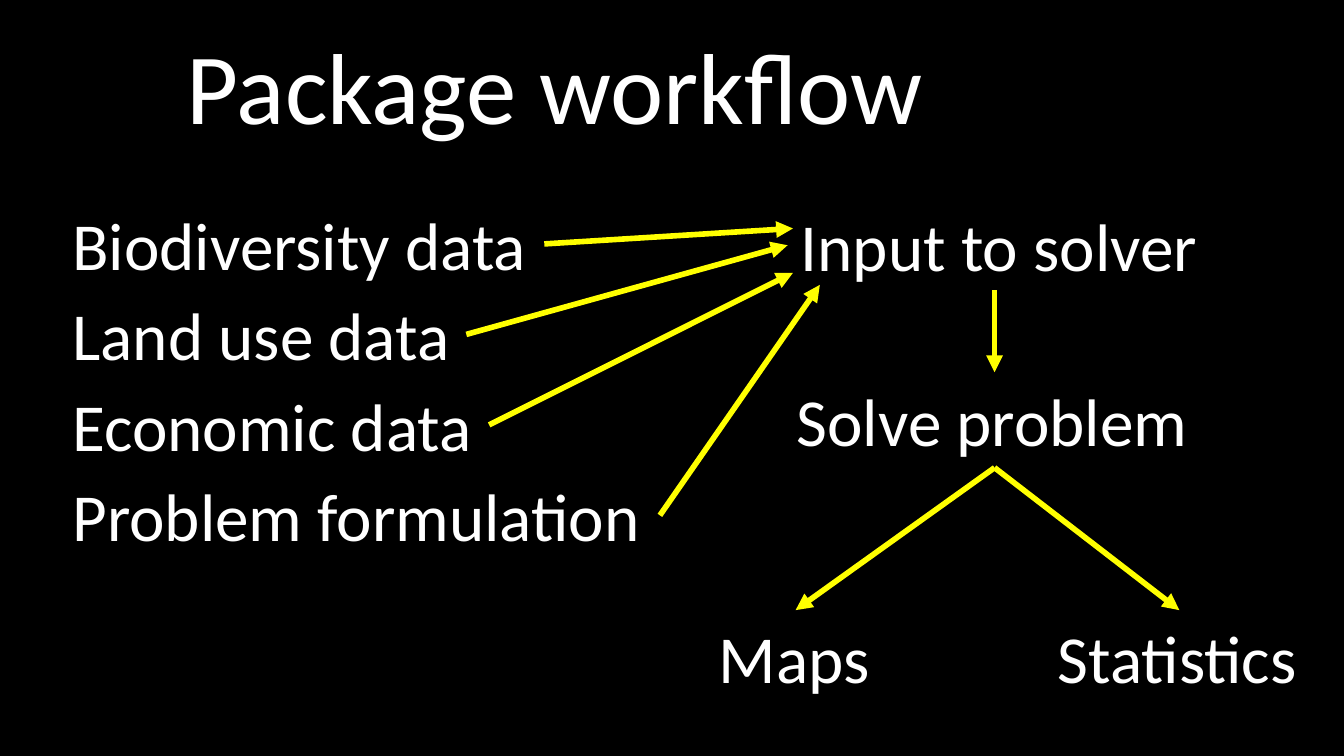
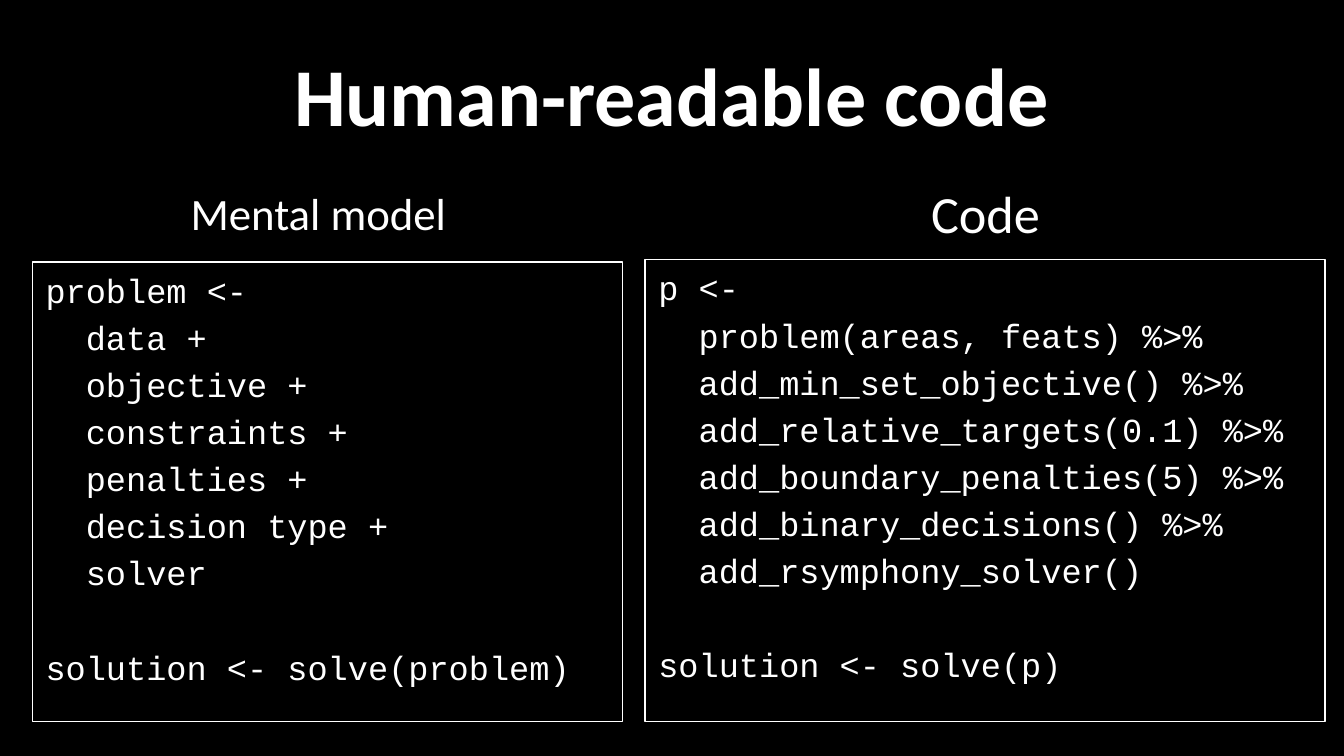
"""Build two slides on a planning package: its workflow and its readable code."""
from lxml import etree
from pptx import Presentation
from pptx.dml.color import RGBColor
from pptx.enum.shapes import MSO_CONNECTOR, MSO_SHAPE
from pptx.enum.text import MSO_ANCHOR, MSO_AUTO_SIZE, PP_ALIGN
from pptx.oxml.ns import qn
from pptx.util import Inches, Pt

BLACK = RGBColor(0x00, 0x00, 0x00)
WHITE = RGBColor(0xFF, 0xFF, 0xFF)
YELLOW = RGBColor(0xFF, 0xFF, 0x00)
BODY_FONT = "Calibri"
CODE_FONT = "Courier New"
TOP, LEFT, BOTTOM, RIGHT = range(4)
LINE_GAP = 3.6
BLOCK_GAP = 28.8

MENTAL_MODEL = [
    "problem <-",
    "  data +",
    "  objective +",
    "  constraints +",
    "  penalties +",
    "  decision type +",
    "  solver",
    "solution <- solve(problem)",
]
R_CODE = [
    "p <-",
    "  problem(areas, feats) %>%",
    "  add_min_set_objective() %>%",
    "  add_relative_targets(0.1) %>%",
    "  add_boundary_penalties(5) %>%",
    "  add_binary_decisions() %>%",
    "  add_rsymphony_solver()",
    "solution <- solve(p)",
]


def style_runs(p, size, font=BODY_FONT, bold=False):
    """Format every run of a paragraph in white."""
    for r in p.runs:
        r.font.size = Pt(size)
        r.font.name = font
        r.font.bold = bold
        r.font.color.rgb = WHITE


def add_title_slide(prs, title, box, size, bold=False):
    """Add a title-only slide and place its centred title."""
    s = prs.slides.add_slide(prs.slide_layouts[5])
    sp = s.shapes.title
    sp.left, sp.top, sp.width, sp.height = map(Inches, box)
    tf = sp.text_frame
    tf.text = title
    tf.auto_size = MSO_AUTO_SIZE.NONE
    tf.word_wrap = bold
    tf.vertical_anchor = MSO_ANCHOR.MIDDLE
    tf.paragraphs[0].alignment = PP_ALIGN.CENTER
    style_runs(tf.paragraphs[0], size, bold=bold)
    return s


def add_label(s, text, left, top, width, height=0.71, size=36):
    """Add a one-line text box that fits its text."""
    sp = s.shapes.add_textbox(*map(Inches, (left, top, width, height)))
    tf = sp.text_frame
    tf.text = text
    tf.word_wrap = False
    tf.auto_size = MSO_AUTO_SIZE.SHAPE_TO_FIT_TEXT
    style_runs(tf.paragraphs[0], size)
    return sp


def add_arrow(s, start, end, source=None, target=None):
    """Add a yellow arrow, joined to (shape, side) pairs where given."""
    cx = s.shapes.add_connector(MSO_CONNECTOR.STRAIGHT, *map(Inches, start + end))
    if source:
        cx.begin_connect(*source)
    if target:
        cx.end_connect(*target)
    cx.line.color.rgb = YELLOW
    cx.line.width = Pt(3)
    ln = cx._element.spPr.find(qn("a:ln"))
    etree.SubElement(ln, qn("a:tailEnd"), type="triangle")
    etree.SubElement(cx._element.spPr, qn("a:effectLst"))


def add_code_box(s, lines, left, top, width, height):
    """Add an outlined box of code whose last line stands apart."""
    sp = s.shapes.add_shape(MSO_SHAPE.RECTANGLE, *map(Inches, (left, top, width, height)))
    sp.shadow.inherit = False
    sp.fill.background()
    sp.line.color.rgb = WHITE
    sp.line.width = Pt(0.75)
    tf = sp.text_frame
    tf.word_wrap = True
    tf.vertical_anchor = MSO_ANCHOR.TOP
    tf.margin_top = Inches(0.06)
    tf.text = "\n".join(lines)
    for p in tf.paragraphs:
        p.alignment = PP_ALIGN.LEFT
        p.space_before = Pt(LINE_GAP)
        style_runs(p, 18, CODE_FONT)
    tf.paragraphs[0].space_before = Pt(0)
    tf.paragraphs[-1].space_before = Pt(BLOCK_GAP)


def build_workflow(prs):
    """Draw the flow from input data to solver results."""
    s = add_title_slide(prs, "Package workflow", (1.26, 0.13, 5.74, 1), 54)
    solver_input = add_label(s, "Input to solver", 5.86, 1.47, 3.18)
    solve = add_label(s, "Solve problem", 5.83, 2.77, 3.14)

    inputs = [
        ("Biodiversity data", 3.61, (5.9, 1.7), None),
        ("Land use data", 3.03, (5.86, 1.82), (solver_input, LEFT)),
        ("Economic data", 3.2, (5.9, 2.03), None),
        ("Problem formulation", 4.47, (6.1, 2.12), None),
    ]
    row_pitch = (3.48 - 1.46) / (len(inputs) - 1)
    for i, (text, width, end, target) in enumerate(inputs):
        top = 1.46 + row_pitch * i
        sp = add_label(s, text, 0.44, top, width)
        add_arrow(s, (0.44 + width, top + 0.35), end, (sp, RIGHT), target)

    add_arrow(s, (7.4, 2.16), (7.4, 2.77), target=(solve, TOP))
    for text, left, width in [("Maps", 5.25, 1.34), ("Statistics", 7.77, 2.01)]:
        sp = add_label(s, text, left, 4.54, width)
        add_arrow(s, (7.4, 3.48), (left + width / 2, 4.54), (solve, BOTTOM), (sp, TOP))


def build_code(prs):
    """Set the mental model beside the matching code."""
    s = add_title_slide(prs, "Human-readable code", (0.5, 0.23, 9, 0.94), 44, bold=True)
    add_label(s, "Mental model", 1.32, 1.33, 2.2, 0.5, 24)
    add_label(s, "Code", 6.83, 1.3, 1.02, 0.57, 28)
    add_code_box(s, MENTAL_MODEL, 0.24, 1.95, 4.39, 3.42)
    add_code_box(s, R_CODE, 4.8, 1.93, 5.06, 3.44)


def main():
    """Build and save the presentation."""
    prs = Presentation()
    prs.slide_width = Inches(10)
    prs.slide_height = prs.slide_width * 9 // 16
    fill = prs.slide_master.background.fill
    fill.solid()
    fill.fore_color.rgb = BLACK
    build_workflow(prs)
    build_code(prs)
    prs.save("out.pptx")


if __name__ == "__main__":
    main()
